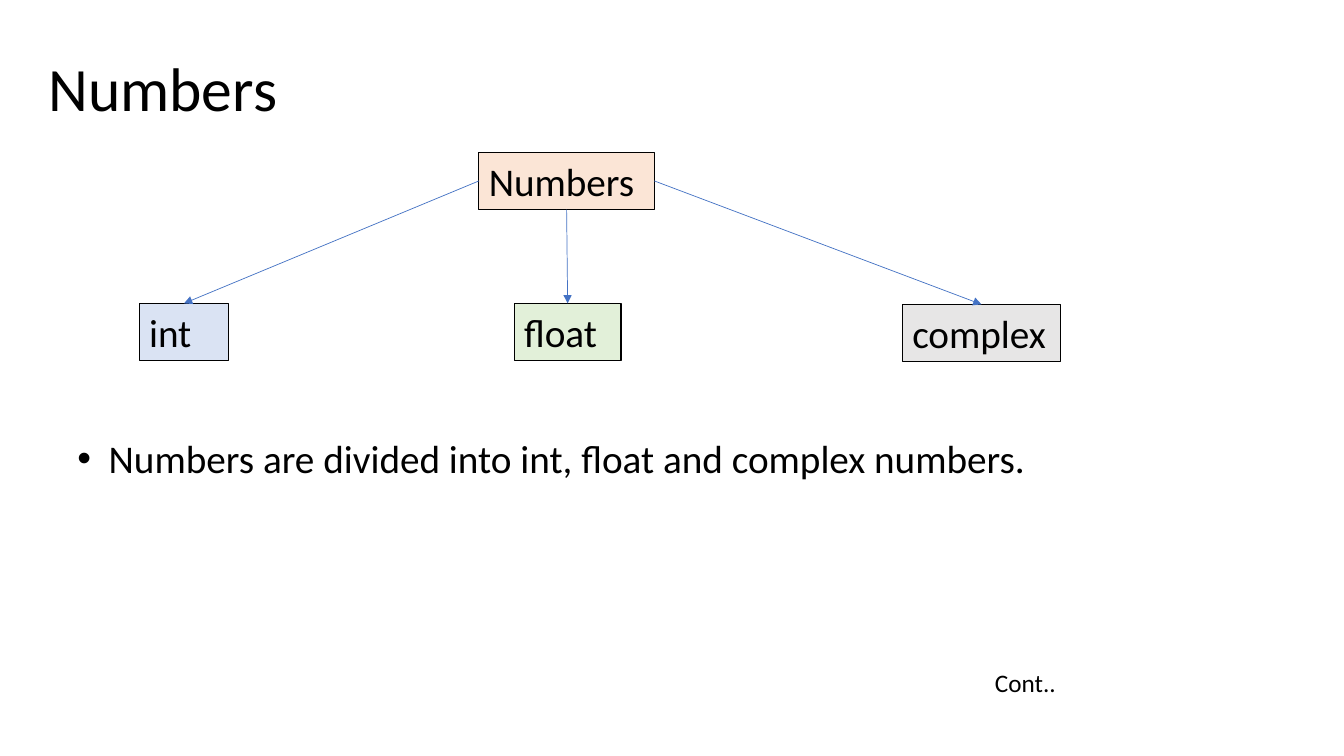
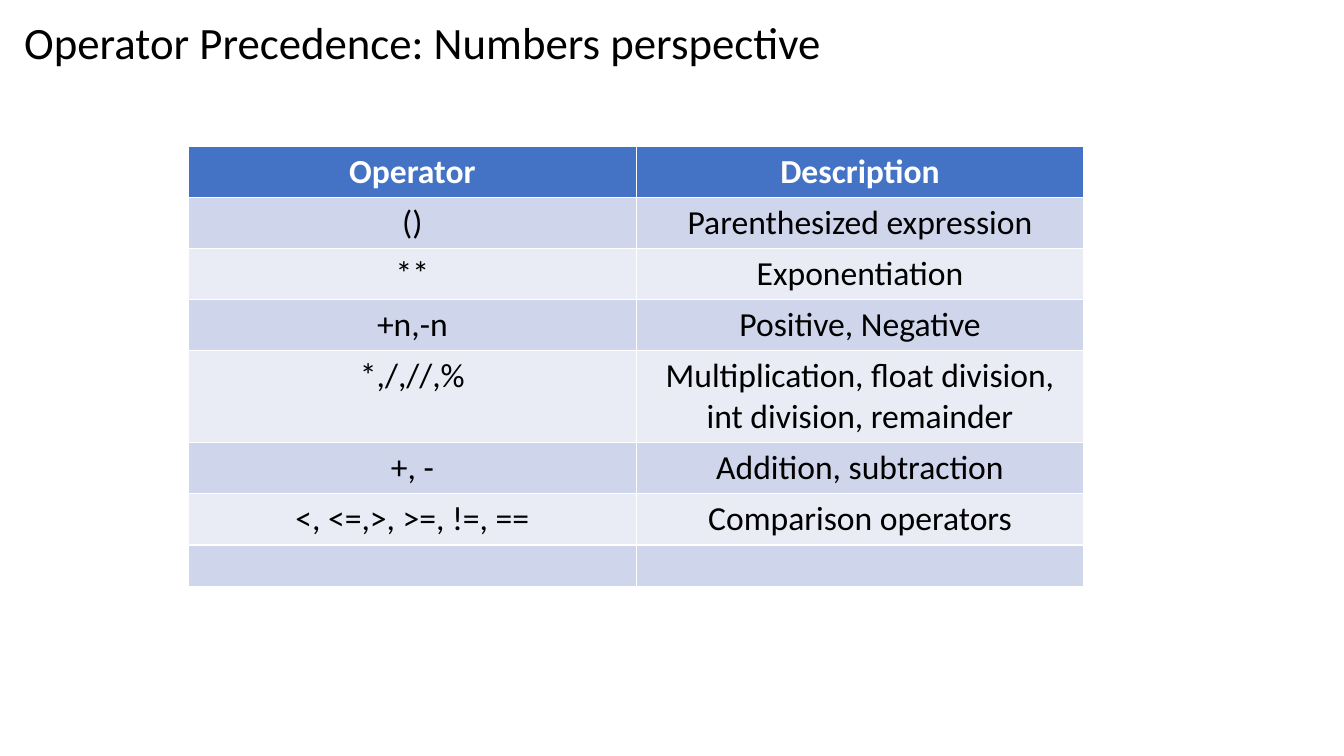
from lxml import etree
from pptx import Presentation
from pptx.dml.color import RGBColor
from pptx.enum import shapes, text
from pptx.oxml import ns
from pptx.util import Inches, Pt

FONT = "Calibri"
COLORS = {
    "ink": "000000", "white": "FFFFFF", "accent": "4472C4",
    "peach": "FBE5D6", "blue": "DAE3F3", "green": "E2F0D9", "gray": "E7E6E6",
    "band_dark": "CFD5EA", "band_light": "E9EBF5",
}

# label, (left, top, width, height), fill
ROOT = ("Numbers", (4.75, 1.51, 1.74, 0.57), "peach")
# child box, followed by the side of the root its arrow leaves from
CHILDREN = [
    (("float", (5.1, 3.01, 1.06, 0.57), "green"), 2),
    (("int", (1.38, 3.01, 0.89, 0.57), "blue"), 1),
    (("complex", (8.95, 3.02, 1.57, 0.57), "gray"), 3),
]
SUMMARY = "Numbers are divided into int, float and complex numbers."

# operator, description, row height
PRECEDENCE = [
    ("Operator", "Description", 0.5),
    ("()", "Parenthesized expression", 0.5),
    ("**", "Exponentiation", 0.5),
    ("+n,-n", "Positive, Negative", 0.5),
    ("*,/,//,%", "Multiplication, float division, int division, remainder", 0.9),
    ("+, -", "Addition, subtraction", 0.5),
    ("<, <=,>, >=, !=, ==", "Comparison operators", 0.5),
    ("", "", 0.41),
]
COLUMN_WIDTH = 4.44


def rgb(name):
    return RGBColor.from_string(COLORS[name])


def place(box):
    return [Inches(length) for length in box]


def write(frame, words, size=28, color="ink", bold=False,
          align=text.PP_ALIGN.LEFT, anchor=text.MSO_ANCHOR.TOP, spacing=1.0):
    frame.word_wrap = True
    frame.vertical_anchor = anchor
    paragraph = frame.paragraphs[0]
    paragraph.alignment = align
    paragraph.line_spacing = spacing
    run = paragraph.add_run()
    run.text = words
    run.font.name = FONT
    run.font.size = Pt(size)
    run.font.bold = bold
    run.font.color.rgb = rgb(color)
    return paragraph


def add_titled_slide(deck, title, box, **style):
    slide = deck.slides.add_slide(deck.slide_layouts[5])
    heading = slide.shapes.title
    heading.left, heading.top, heading.width, heading.height = place(box)
    heading.text_frame.auto_size = text.MSO_AUTO_SIZE.NONE
    write(heading.text_frame, title, **style)
    return slide


def add_text(slide, words, box, **style):
    return write(slide.shapes.add_textbox(*place(box)).text_frame, words, **style)


def add_node(slide, label, box, fill):
    node = slide.shapes.add_shape(shapes.MSO_SHAPE.RECTANGLE, *place(box))
    node.shadow.inherit = False
    node.fill.solid()
    node.fill.fore_color.rgb = rgb(fill)
    node.line.color.rgb = rgb("ink")
    node.line.width = Pt(0.75)
    write(node.text_frame, label)
    return node


def add_arrow(slide, start, start_side, end, end_side):
    arrow = slide.shapes.add_connector(shapes.MSO_CONNECTOR.STRAIGHT, 0, 0, 0, 0)
    arrow.begin_connect(start, start_side)
    arrow.end_connect(end, end_side)
    arrow.line.color.rgb = rgb("accent")
    arrow.line.width = Pt(0.5)
    etree.SubElement(arrow.line._get_or_add_ln(), ns.qn("a:tailEnd"), type="triangle")
    etree.SubElement(arrow._element.spPr, ns.qn("a:effectLst"))


def add_bullet(paragraph, indent=0.31):
    properties = paragraph._p.get_or_add_pPr()
    properties.set("marL", str(Inches(indent)))
    properties.set("indent", str(-Inches(indent)))
    etree.SubElement(properties, ns.qn("a:buFont"), typeface="Arial")
    etree.SubElement(properties, ns.qn("a:buChar"), char="•")


def build_numbers(deck):
    slide = add_titled_slide(deck, "Numbers", (0.38, 0.18, 11.5, 1.45), size=44,
                             anchor=text.MSO_ANCHOR.MIDDLE, spacing=0.9)
    root = add_node(slide, *ROOT)
    for child, root_side in CHILDREN:
        add_arrow(slide, root, root_side, add_node(slide, *child), 0)
    add_bullet(add_text(slide, SUMMARY, (0.67, 4.26, 11.99, 1.04)))
    add_text(slide, "Cont..", (9.77, 6.57, 3, 0.4), size=18)


def build_precedence(deck):
    slide = add_titled_slide(deck, "Operator Precedence: Numbers perspective",
                             (0.14, 0.1, 11.64, 0.64), size=32)
    total_height = sum(height for _, _, height in PRECEDENCE)
    table = slide.shapes.add_table(
        len(PRECEDENCE), 2,
        *place((1.87, 1.45, 2 * COLUMN_WIDTH, total_height))).table
    for column in table.columns:
        column.width = Inches(COLUMN_WIDTH)
    for index, (*entries, height) in enumerate(PRECEDENCE):
        header = index == 0
        band = "accent" if header else ("band_light", "band_dark")[index % 2]
        table.rows[index].height = Inches(height)
        for cell, words in zip(table.rows[index].cells, entries):
            cell.fill.solid()
            cell.fill.fore_color.rgb = rgb(band)
            if words:
                write(cell.text_frame, words, size=24, bold=header,
                      color="white" if header else "ink",
                      align=text.PP_ALIGN.CENTER)


def main():
    deck = Presentation()
    deck.slide_width, deck.slide_height = Inches(13.33), Inches(7.5)
    build_numbers(deck)
    build_precedence(deck)
    deck.save("out.pptx")


if __name__ == "__main__":
    main()
